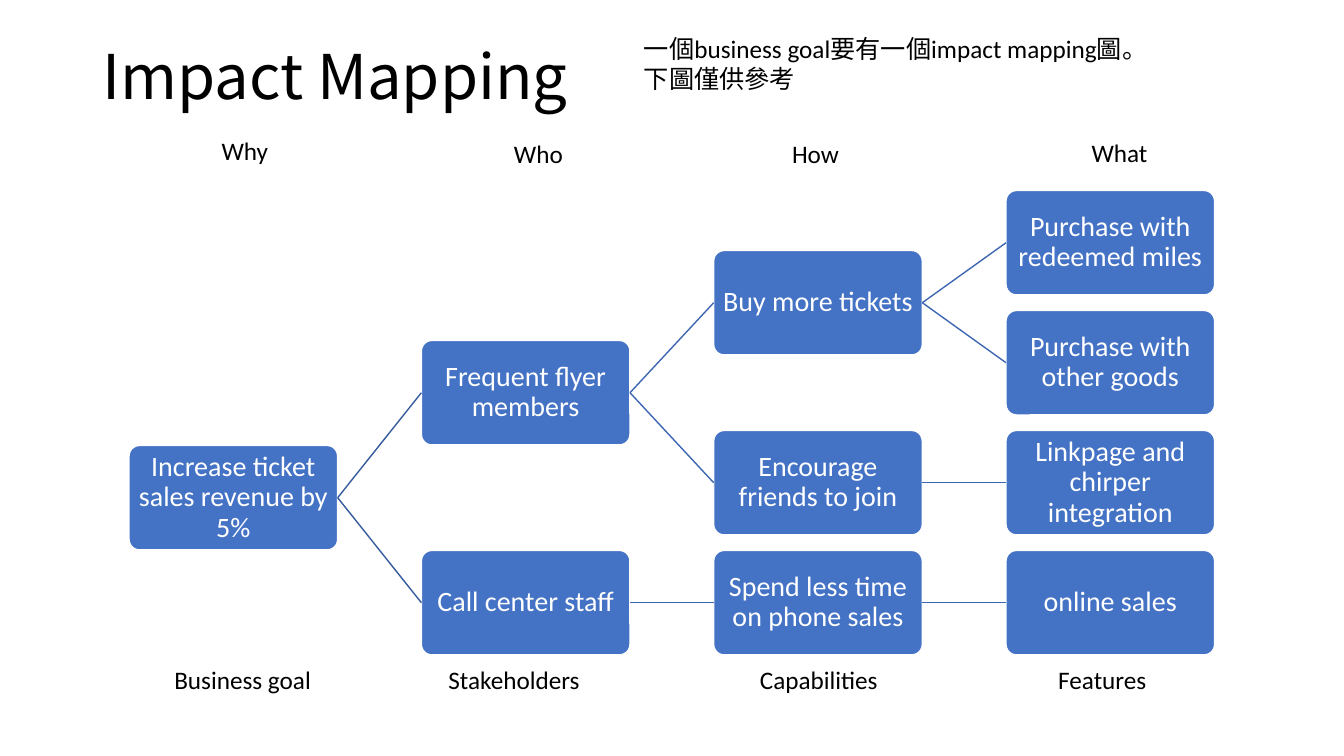
from dataclasses import dataclass, field

from lxml.etree import SubElement
from pptx import Presentation
from pptx.dml.color import RGBColor
from pptx.enum.shapes import MSO_CONNECTOR, MSO_SHAPE
from pptx.enum.text import MSO_ANCHOR as Anchor, MSO_AUTO_SIZE as AutoSize, PP_ALIGN as Align
from pptx.oxml.ns import qn
from pptx.util import Pt


@dataclass(frozen=True)
class Theme:
    font: str = "Calibri"
    title_font: str = "Noto Sans CJK SC"
    title_size: int = 44
    box_size: int = 20
    label_size: int = 18
    text: str = "000000"
    box_text: str = "FFFFFF"
    box_fill: str = "4472C4"
    box_line: str = "FFFFFF"
    root_branch: str = "365B9D"
    branch: str = "3E67B2"


@dataclass
class Node:
    text: str
    children: list = field(default_factory=list)


THEME = Theme()
TREE_LEFT, TREE_TOP = 92.2, 136.1
COLUMN_STEP, ROW_STEP = 208.8, 85.7
BOX_WIDTH, BOX_HEIGHT = 149, 74.6

IMPACT_MAP = Node("Increase ticket sales revenue by 5%", [
    Node("Frequent flyer members", [
        Node("Buy more tickets", [
            Node("Purchase with redeemed miles"),
            Node("Purchase with other goods"),
        ]),
        Node("Encourage friends to join", [Node("Linkpage and chirper integration")]),
    ]),
    Node("Call center staff", [
        Node("Spend less time on phone sales", [Node("online sales")]),
    ]),
])

# text, left, top, width
LABELS = [
    ("Why", 151.2, 92.9, 48.2),
    ("Who", 360, 95, 49.7),
    ("How", 558.7, 95, 48.2),
    ("What", 772.6, 94.3, 54.7),
    ("Business goal", 117.4, 470.9, 115.9),
    ("Stakeholders", 313.2, 470.9, 109.4),
    ("Capabilities", 535.7, 470.9, 100.1),
    ("Features", 748.8, 470.9, 77.8),
]
NOTE = "一個business goal要有一個impact mapping圖。\n下圖僅供參考"


def format_text(text_frame, size, color, font=THEME.font, align=Align.LEFT, spacing=1.0):
    for paragraph in text_frame.paragraphs:
        paragraph.alignment = align
        paragraph.line_spacing = spacing
        for run in paragraph.runs:
            run.font.name = font
            run.font.size = Pt(size)
            run.font.color.rgb = RGBColor.from_string(color)


def add_title(slide, text):
    title = slide.shapes.title
    title.left, title.top, title.width, title.height = Pt(66), Pt(28.8), Pt(828), Pt(56.2)
    text_frame = title.text_frame
    text_frame.text = text
    text_frame.auto_size = AutoSize.NONE
    text_frame.vertical_anchor = Anchor.MIDDLE
    format_text(text_frame, THEME.title_size, THEME.text, THEME.title_font, spacing=0.9)


def add_label(slide, text, left, top, width, height=29, wrap=False):
    label = slide.shapes.add_textbox(Pt(left), Pt(top), Pt(width), Pt(height))
    text_frame = label.text_frame
    text_frame.text = text
    text_frame.word_wrap = wrap
    text_frame.auto_size = AutoSize.SHAPE_TO_FIT_TEXT
    format_text(text_frame, THEME.label_size, THEME.text)


def add_box(slide, text, left, top):
    box = slide.shapes.add_shape(MSO_SHAPE.ROUNDED_RECTANGLE, Pt(left), Pt(top),
                                 Pt(BOX_WIDTH), Pt(BOX_HEIGHT))
    box.adjustments[0] = 0.1
    box.shadow.inherit = False
    box.fill.solid()
    box.fill.fore_color.rgb = RGBColor.from_string(THEME.box_fill)
    box.line.color.rgb = RGBColor.from_string(THEME.box_line)
    box.line.width = Pt(1)
    text_frame = box.text_frame
    text_frame.text = text
    text_frame.word_wrap = True
    text_frame.vertical_anchor = Anchor.MIDDLE
    text_frame.margin_left = text_frame.margin_right = Pt(1)
    text_frame.margin_top = text_frame.margin_bottom = Pt(1)
    format_text(text_frame, THEME.box_size, THEME.box_text, align=Align.CENTER, spacing=0.9)
    return box


def add_branch(slide, parent, child, color):
    """Join the right side of the parent box to the left side of the child box."""
    branch = slide.shapes.add_connector(MSO_CONNECTOR.STRAIGHT, 0, 0, 0, 0)
    branch.begin_connect(parent, 3)
    branch.end_connect(child, 1)
    branch.line.color.rgb = RGBColor.from_string(color)
    branch.line.width = Pt(1)
    SubElement(branch.element.spPr, qn("a:effectLst"))


def add_tree(slide, node, column=0, first_row=0):
    """Draw a node midway between its outer children; return its box, row and next free row."""
    branches, rows, next_row = [], [], first_row
    for child in node.children:
        child_box, row, next_row = add_tree(slide, child, column + 1, next_row)
        branches.append(child_box)
        rows.append(row)
    if rows:
        row = (rows[0] + rows[-1]) / 2
    else:
        row, next_row = first_row, first_row + 1
    box = add_box(slide, node.text, TREE_LEFT + column * COLUMN_STEP, TREE_TOP + row * ROW_STEP)
    for child_box in branches:
        add_branch(slide, box, child_box, THEME.branch if column else THEME.root_branch)
    return box, row, next_row


def main():
    presentation = Presentation()
    presentation.slide_width, presentation.slide_height = Pt(960), Pt(540)
    slide = presentation.slides.add_slide(presentation.slide_layouts[5])
    add_title(slide, "Impact Mapping")
    add_tree(slide, IMPACT_MAP)
    for label in LABELS:
        add_label(slide, *label)
    add_label(slide, NOTE, 452.9, 20.2, 450.7, 51, wrap=True)
    presentation.save("out.pptx")


if __name__ == "__main__":
    main()
